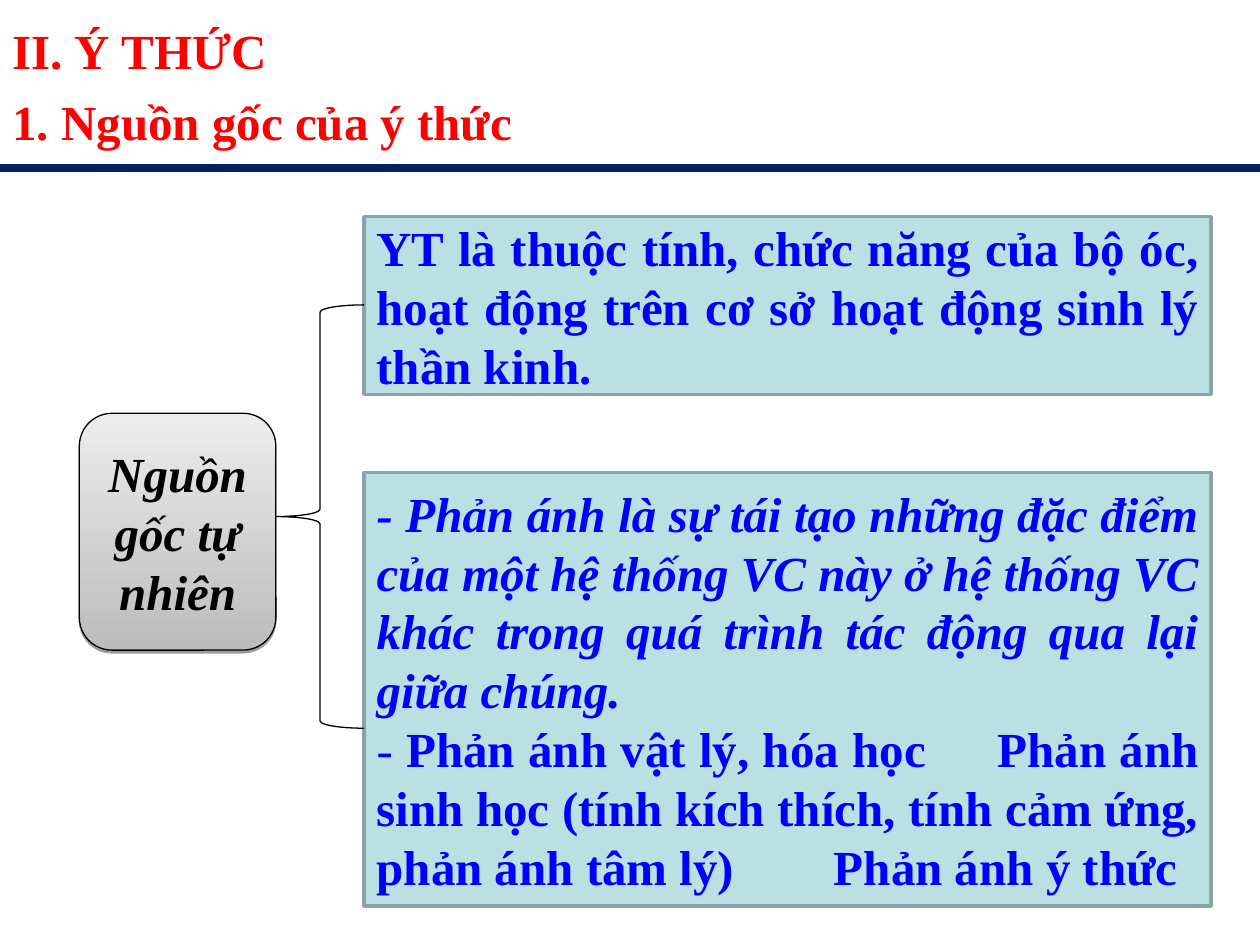
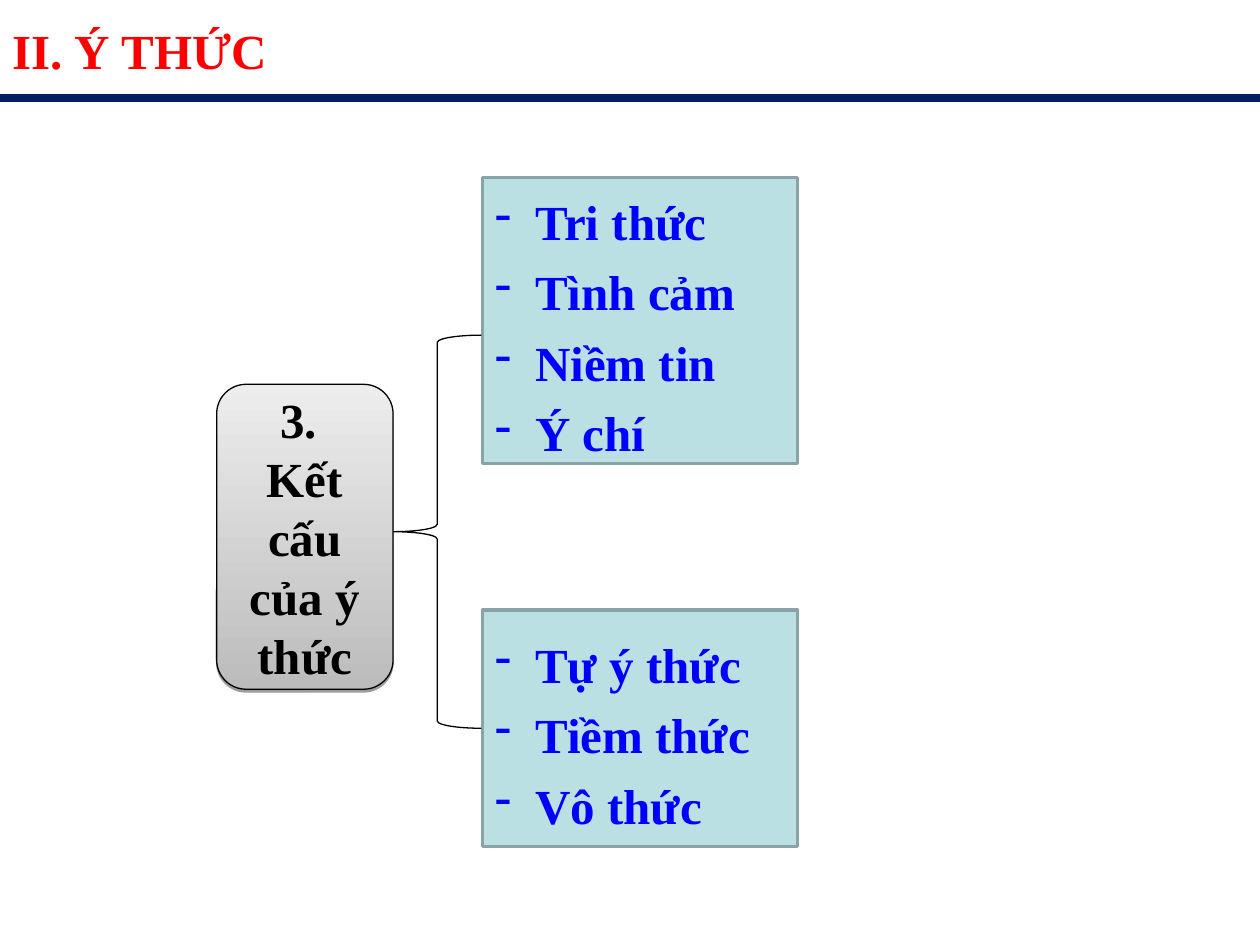
"""Build two slides on consciousness: its natural origin and its structure."""
import pptx
import pptx.util
import pptx.dml.color
import pptx.enum.shapes
import pptx.enum.text
import pptx.oxml
import pptx.oxml.ns
from pptx.util import Inches, Pt
from pptx.dml.color import RGBColor
from pptx.enum.shapes import MSO_CONNECTOR, MSO_SHAPE
from pptx.enum.text import MSO_ANCHOR, PP_ALIGN

RED = RGBColor(0xFF, 0x00, 0x00)
NAVY = RGBColor(0x00, 0x20, 0x60)
BLUE = RGBColor(0x00, 0x00, 0xFF)
BLACK = RGBColor(0x00, 0x00, 0x00)
PALE = RGBColor(0xBB, 0xE0, 0xE3)
EDGE = RGBColor(0x89, 0xA4, 0xA7)
GREY_DARK = RGBColor(0xBC, 0xBC, 0xBC)
GREY_LIGHT = RGBColor(0xED, 0xED, 0xED)
NS = pptx.oxml.ns.nsdecls("a")
SHADOW = (f'<a:outerShdw {NS} blurRad="0" dist="20000" dir="5400000" rotWithShape="0">'
          '<a:srgbClr val="000000"><a:alpha val="38000"/></a:srgbClr></a:outerShdw>')


def add_text(tf, text, color=BLUE, align=PP_ALIGN.JUSTIFY, italic=False,
             spacing=None, lead="", bullet=False, tabs=()):
    p = tf.paragraphs[0] if not tf.text else tf.add_paragraph()
    pPr = p._p.get_or_add_pPr()
    if bullet:
        pPr.set("marL", str(Inches(0.32)))
        pPr.set("indent", str(-Inches(0.32)))
        pPr.append(pptx.oxml.parse_xml(f'<a:buClr {NS}><a:srgbClr val="{color}"/></a:buClr>'))
        pPr.append(pptx.oxml.parse_xml(f'<a:buChar {NS} char="-"/>'))
    if tabs:
        stops = "".join(f'<a:tab pos="{Inches(t)}" algn="l"/>' for t in tabs)
        pPr.append(pptx.oxml.parse_xml(f"<a:tabLst {NS}>{stops}</a:tabLst>"))
    p.alignment = align
    if spacing:
        p.line_spacing = spacing
    for part, bold in ((lead, False), (text, True)):
        if part:
            r = p.add_run()
            r.text = part
            r.font.name = "Times New Roman"
            r.font.size = Pt(28)
            r.font.bold = bold
            r.font.italic = italic
            r.font.color.rgb = color


def add_shape(s, kind, box, line, width):
    sp = s.shapes.add_shape(kind, *map(Inches, box))
    sp.shadow.inherit = False
    sp.fill.background()
    sp.line.color.rgb = line
    sp.line.width = Pt(width)
    sp.text_frame.word_wrap = True
    sp.text_frame.vertical_anchor = MSO_ANCHOR.MIDDLE
    return sp


reflection = dict(lead="-", tabs=(3.63, 4.87))
item = dict(bullet=True, spacing=1.2)
slides = [
    dict(
        titles=["II. Ý THỨC", "1. Nguồn gốc của ý thức"], rule=1.33,
        node=(0.63, 3.28, 1.56, 1.88), node_lines=["Nguồn gốc tự nhiên"], node_italic=True,
        brace=(2.19, 2.42, 0.7, 3.36),
        panels=[
            ((2.89, 1.72, 6.72, 1.41), [
                ("YT là thuộc tính, chức năng của bộ óc, hoạt động trên cơ sở hoạt động "
                 "sinh lý thần kinh.", {})]),
            ((2.89, 3.75, 6.72, 3.44), [
                ("- Phản ánh là sự tái tạo những đặc điểm của một hệ thống VC này ở hệ thống "
                 "VC khác trong quá trình tác động qua lại giữa chúng.", dict(italic=True)),
                (" Phản ánh vật lý, hóa học\tPhản ánh sinh học (tính kích thích, tính cảm ứng, "
                 "phản ánh tâm lý)\tPhản ánh ý thức", reflection)]),
        ]),
    dict(
        titles=["II. Ý THỨC"], rule=0.78,
        node=(1.72, 3.05, 1.4, 2.42), node_lines=["3. ", "Kết cấu của ý thức"], node_italic=False,
        brace=(3.12, 2.66, 0.7, 3.12),
        panels=[
            ((3.83, 1.41, 2.5, 2.27),
             [(t, item) for t in ("Tri thức", "Tình cảm", "Niềm tin", "Ý chí")]),
            ((3.83, 4.84, 2.5, 1.88),
             [(t, item) for t in ("Tự ý thức", "Tiềm thức", "Vô thức")]),
        ]),
]

prs = pptx.Presentation()
prs.slide_width = Inches(10)
prs.slide_height = Inches(7.5)

for data in slides:
    s = prs.slides.add_slide(prs.slide_layouts[6])

    y = Inches(data["rule"])
    rule = s.shapes.add_connector(MSO_CONNECTOR.STRAIGHT, 0, y, Inches(10), y)
    rule.line.color.rgb = NAVY
    rule.line.width = Pt(4.5)
    rule._element.spPr.append(pptx.oxml.parse_xml(f"<a:effectLst {NS}/>"))

    height = 0.1 + 0.56 * len(data["titles"])
    tf = s.shapes.add_textbox(0, Inches(0.02), Inches(10), Inches(height)).text_frame
    tf.word_wrap = True
    for title in data["titles"]:
        add_text(tf, title, color=RED, spacing=1.2)

    for box, paragraphs in data["panels"]:
        sp = add_shape(s, MSO_SHAPE.RECTANGLE, box, EDGE, 2)
        sp.fill.solid()
        sp.fill.fore_color.rgb = PALE
        for text, style in paragraphs:
            add_text(sp.text_frame, text, **style)

    add_shape(s, MSO_SHAPE.LEFT_BRACE, data["brace"], BLACK, 0.75)

    node = add_shape(s, MSO_SHAPE.ROUNDED_RECTANGLE, data["node"], BLACK, 0.75)
    node.fill.gradient()
    node.fill.gradient_angle = 90
    for stop, color in zip(node.fill.gradient_stops, (GREY_DARK, GREY_LIGHT)):
        stop.color.rgb = color
    effects = node._element.spPr.find(pptx.oxml.ns.qn("a:effectLst"))
    effects.append(pptx.oxml.parse_xml(SHADOW))
    for text in data["node_lines"]:
        add_text(node.text_frame, text, color=BLACK, align=PP_ALIGN.CENTER,
                 italic=data["node_italic"])

prs.save("out.pptx")
